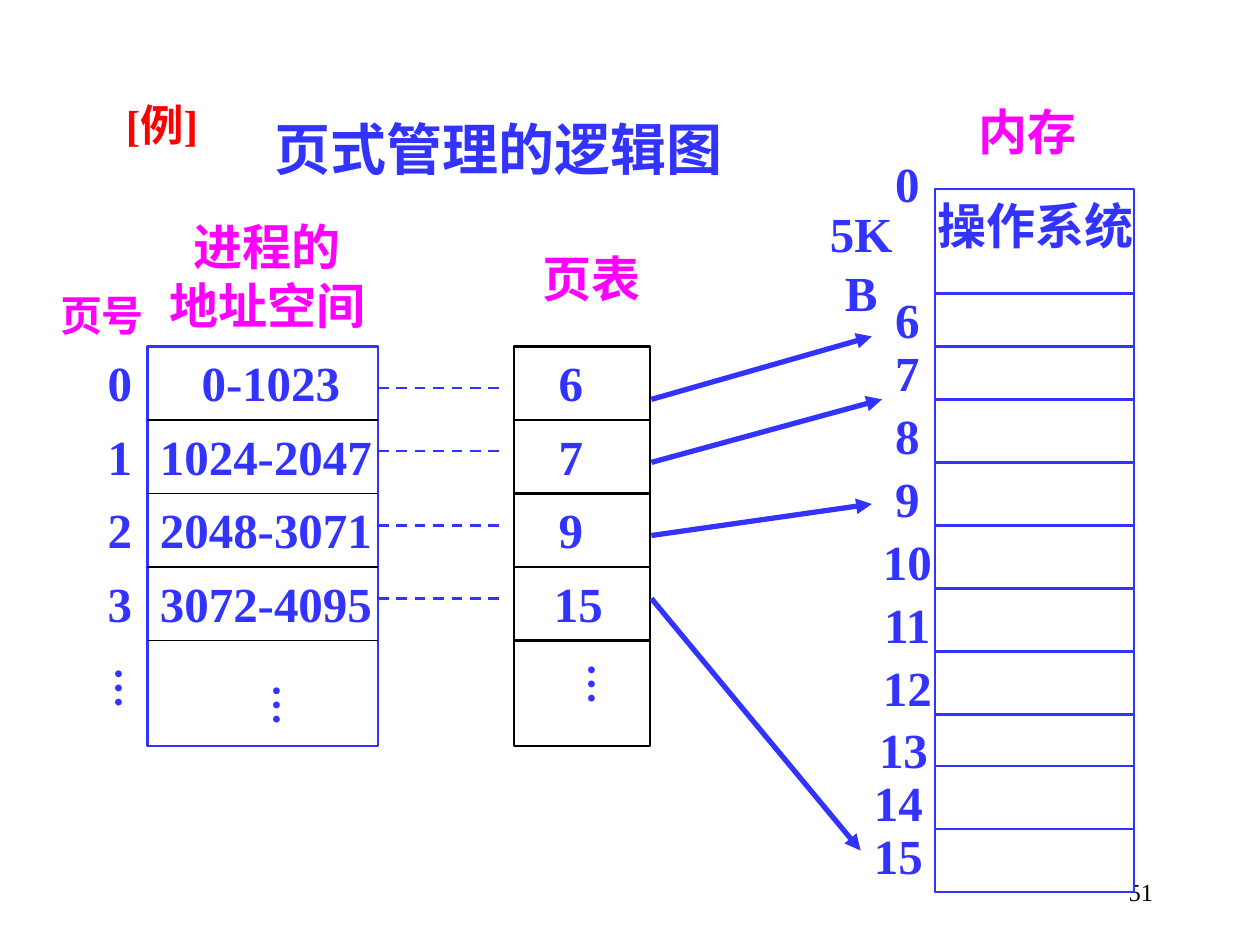
from lxml import etree
from pptx import Presentation
from pptx.dml.color import RGBColor
from pptx.enum.dml import MSO_LINE_DASH_STYLE as Dash
from pptx.enum.shapes import MSO_CONNECTOR as Connector, MSO_SHAPE as Shape
from pptx.enum.text import MSO_ANCHOR as Anchor, PP_ALIGN as Align
from pptx.oxml.ns import qn
from pptx.util import Inches, Pt

BLUE = RGBColor(0x33, 0x33, 0xFF)
MAGENTA = RGBColor(0xFF, 0x00, 0xFF)
RED = RGBColor(0xFF, 0x00, 0x00)
BLACK = RGBColor(0x00, 0x00, 0x00)
WHITE = RGBColor(0xFF, 0xFF, 0xFF)

FONT = "Times New Roman"
TABLE_TOP = 2.75
TABLE_HEIGHT = 3.17
ROW_HEIGHT = 7 / 12
ROW_TOPS = [TABLE_TOP + ROW_HEIGHT * row for row in range(4)]
LABEL_HEIGHT = 0.57

SPACE_LEFT, SPACE_WIDTH = 1.17, 1.83
SPACE_RIGHT = SPACE_LEFT + SPACE_WIDTH
PAGE_TABLE_LEFT, PAGE_TABLE_WIDTH = 4.08, 1.08
PAGE_TABLE_RIGHT = PAGE_TABLE_LEFT + PAGE_TABLE_WIDTH
MEMORY_LEFT, MEMORY_WIDTH = 7.42, 1.58

PAGES = ["0-1023", "1024-2047", "2048-3071", "3072-4095"]
PAGE_BLOCKS = ["6", "7", "9", "15"]
MEMORY_DIVIDERS = [2.33, 2.75, 3.17, 3.67, 4.17, 4.67, 5.17, 5.67, 6.08, 6.58]
# (block number, centre, top)
MEMORY_BLOCKS = [
    ("0", 7.2, 1.17), ("6", 7.2, 2.25), ("7", 7.2, 2.67), ("8", 7.2, 3.17),
    ("9", 7.2, 3.67), ("10", 7.2, 4.17), ("11", 7.2, 4.67), ("12", 7.2, 5.17),
    ("13", 7.17, 5.66), ("14", 7.13, 6.08), ("15", 7.13, 6.5),
]
# (start, end) from page table row to memory block
MAPPINGS = [
    ((5.17, 3.17), (6.92, 2.67)),
    ((5.17, 3.67), (7, 3.17)),
    ((5.17, 4.25), (6.92, 4)),
    ((5.17, 4.75), (6.83, 6.75)),
]


def add_text(shapes, lines, left, top, width, height=LABEL_HEIGHT, size=28,
             color=BLUE, bold=True, align=Align.CENTER, wrap=False):
    box = shapes.add_textbox(Inches(left), Inches(top), Inches(width), Inches(height))
    frame = box.text_frame
    frame.word_wrap = wrap
    frame.text = lines
    for paragraph in frame.paragraphs:
        paragraph.alignment = align
        font = paragraph.font
        font.name, font.size, font.bold = FONT, Pt(size), bold
        font.color.rgb = color
    return box


def add_number(shapes, number, centre, top):
    width = 0.39 if len(number) == 1 else 0.59
    add_text(shapes, number, centre - width / 2, top, width)


def add_vertical_dots(shapes, left, top, width=0.53):
    add_text(shapes, "…", left, top, width, 0.5, size=24).rotation = 270


def add_frame(shapes, left, top, width, height, color):
    frame = shapes.add_shape(Shape.RECTANGLE, Inches(left), Inches(top),
                             Inches(width), Inches(height))
    frame.shadow.inherit = False
    frame.fill.solid()
    frame.fill.fore_color.rgb = WHITE
    frame.line.color.rgb = color
    frame.line.width = Pt(1.5)


def add_line(shapes, start, end, color=BLUE, weight=1.5, dash=None, arrow=False):
    line = shapes.add_connector(Connector.STRAIGHT, *map(Inches, start + end))
    line.line.color.rgb = color
    line.line.width = Pt(weight)
    if dash:
        line.line.dash_style = dash
    properties = line._element.spPr
    if arrow:
        etree.SubElement(properties.find(qn("a:ln")), qn("a:tailEnd"), type="triangle")
    etree.SubElement(properties, qn("a:effectLst"))


def add_dividers(shapes, left, width, tops, **style):
    for top in tops:
        add_line(shapes, (left, top), (left + width, top), **style)


def add_headings(shapes):
    example = add_text(shapes, "[例]", 0.9, 0.84, 0.96, 0.5, size=24.8,
                       color=RED, align=Align.LEFT, wrap=True)
    example.text_frame.paragraphs[0].line_spacing = 0.7
    add_text(shapes, "页式管理的逻辑图", 1.91, 0.86, 4.09, 0.64, size=32, wrap=True)
    add_text(shapes, "进程的\n地址空间", 1.14, 1.67, 1.96, 1.04, color=MAGENTA, wrap=True)
    add_text(shapes, "页号", 0.33, 2.25, 0.96, 0.5, size=24, color=MAGENTA, wrap=True)
    add_text(shapes, "页表", 4.08, 1.92, 1.23, color=MAGENTA, wrap=True)
    add_text(shapes, "内存", 7.36, 0.76, 1.59, color=MAGENTA, wrap=True)


def add_address_space(shapes):
    add_frame(shapes, SPACE_LEFT, TABLE_TOP, SPACE_WIDTH, TABLE_HEIGHT, BLUE)
    add_dividers(shapes, SPACE_LEFT, SPACE_WIDTH,
                 [top + ROW_HEIGHT for top in ROW_TOPS], color=BLACK, weight=0.75)
    for page, (addresses, top) in enumerate(zip(PAGES, ROW_TOPS)):
        add_number(shapes, str(page), 0.95, top)
        width = 1.3 if page == 0 else 1.88
        add_text(shapes, addresses, 1.5 if page == 0 else SPACE_LEFT, top, width)
    add_vertical_dots(shapes, 0.54, 5.21, 0.58)
    add_vertical_dots(shapes, 1.82, 5.35)


def add_page_table(shapes):
    rows = shapes.add_group_shape().shapes
    add_frame(rows, PAGE_TABLE_LEFT, TABLE_TOP, PAGE_TABLE_WIDTH, TABLE_HEIGHT, BLACK)
    add_line(rows, (PAGE_TABLE_LEFT, TABLE_TOP),
             (PAGE_TABLE_LEFT, TABLE_TOP + TABLE_HEIGHT), color=BLACK, weight=0.75)
    add_dividers(rows, PAGE_TABLE_LEFT, PAGE_TABLE_WIDTH,
                 [top + ROW_HEIGHT for top in ROW_TOPS], color=BLACK)
    for block, top in zip(PAGE_BLOCKS, ROW_TOPS):
        add_number(rows, block, 4.53 if len(block) == 1 else 4.59, top)
    add_vertical_dots(rows, 4.32, 5.18)


def add_memory(shapes):
    add_frame(shapes, MEMORY_LEFT, 1.5, MEMORY_WIDTH, 5.58, BLUE)
    add_dividers(shapes, MEMORY_LEFT, MEMORY_WIDTH, MEMORY_DIVIDERS)
    for block, centre, top in MEMORY_BLOCKS:
        add_number(shapes, block, centre, top)
    add_text(shapes, "操作系统", 7.34, 1.5, 1.75)
    add_text(shapes, "5KB", 6.36, 1.57, 0.95)


def add_links(shapes):
    for top in (3.08, 3.58, 4.17, 4.75):
        add_line(shapes, (SPACE_RIGHT, top), (4, top), dash=Dash.DASH)
    for start, end in MAPPINGS:
        add_line(shapes, start, end, weight=3, arrow=True)


def main():
    deck = Presentation()
    deck.slide_width, deck.slide_height = Inches(10), Inches(7.5)
    shapes = deck.slides.add_slide(deck.slide_layouts[6]).shapes

    page_number = add_text(shapes, "51", 7.17, 6.83, 2.08, 0.5, size=14, color=BLACK,
                           bold=False, align=Align.RIGHT, wrap=True)
    page_number.text_frame.vertical_anchor = Anchor.MIDDLE
    add_headings(shapes)
    add_address_space(shapes)
    add_memory(shapes)
    add_page_table(shapes)
    add_links(shapes)
    deck.save("out.pptx")


if __name__ == "__main__":
    main()
